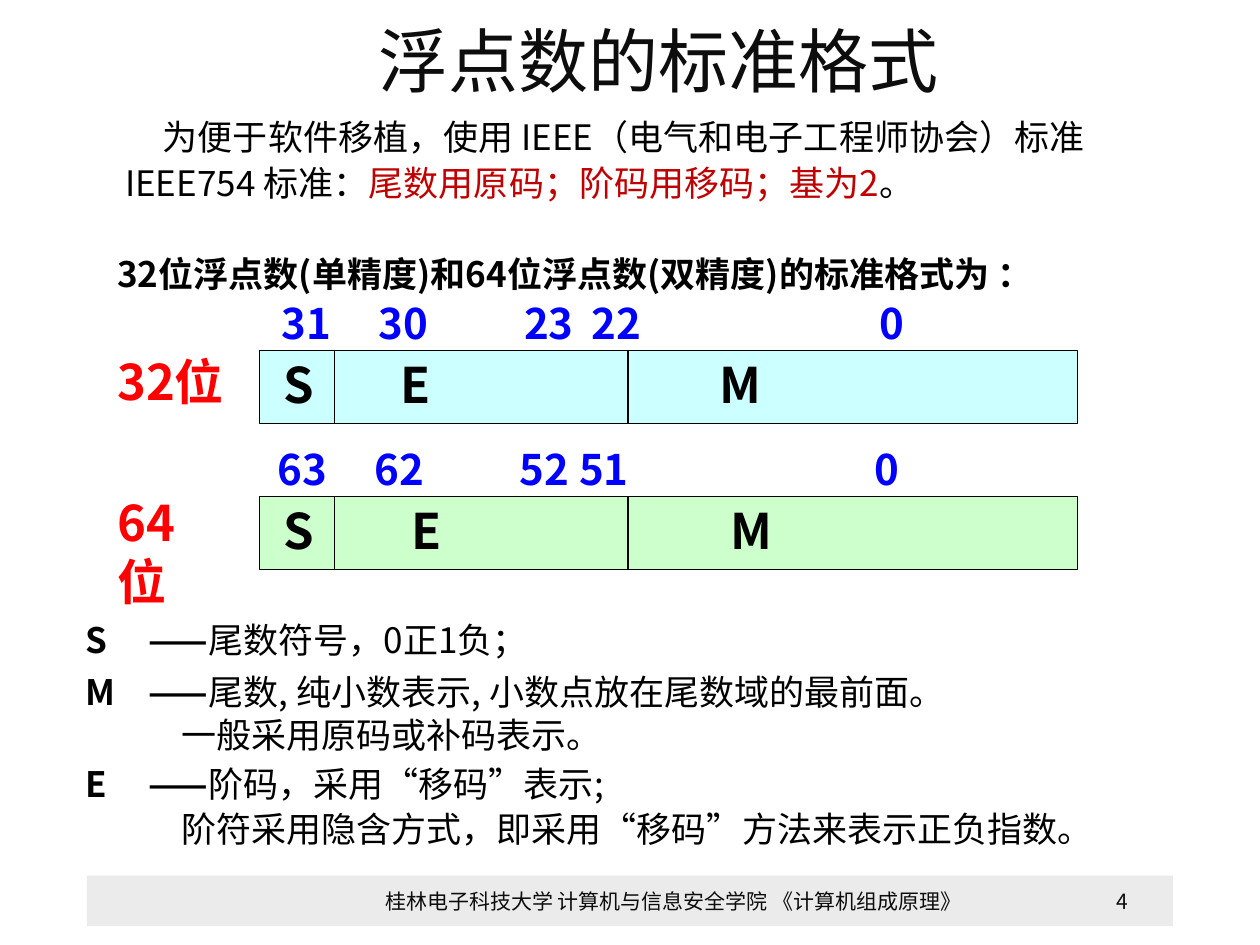
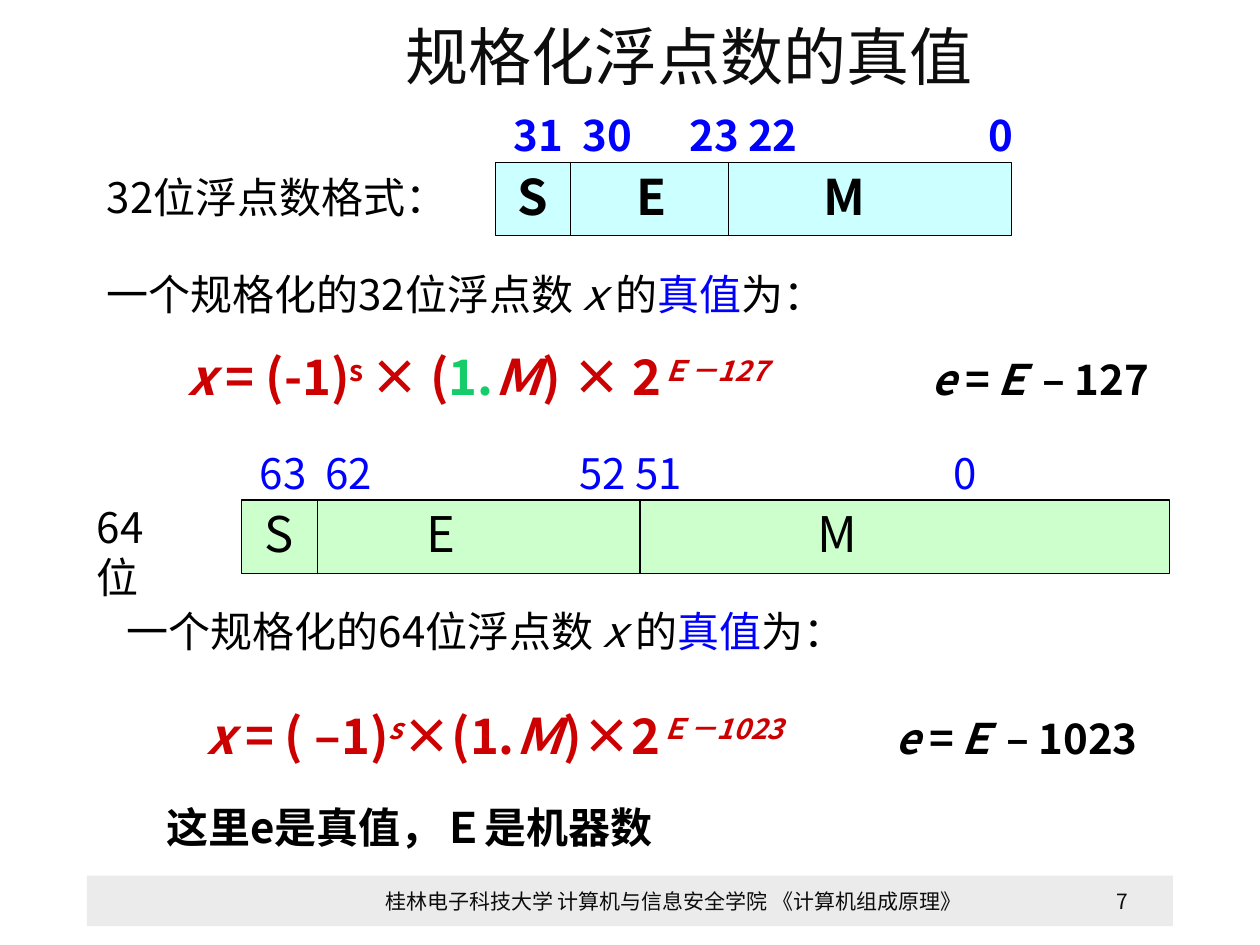
"""Build two slides on the standard floating-point format and its true value."""
from lxml import etree
from pptx import Presentation
from pptx.dml.color import RGBColor
from pptx.enum import shapes, text as t
from pptx.oxml import ns
from pptx.util import Pt

COLORS = {"ink": "0D0D0D", "black": "000000", "blue": "0000FF", "red": "FF0000",
          "dark_red": "C00000", "formula": "CC0000", "green": "14CD68",
          "band": "EBEBEB", "single": "CCFFFF", "double": "CCFFCC"}
FONT = "Noto Sans CJK SC"
FOOTER = "桂林电子科技大学 计算机与信息安全学院 《计算机组成原理》"
REGISTER_HEIGHT = 41.8
BOLD, ITALIC = {"bold": True}, {"italic": True}
BOLD_ITALIC = {"bold": True, "italic": True}
POWER = {"raised": True, "bold": True, "italic": True}
BLACK = {"color": "black", "size": 24, "bold": True}
BLACK_ITALIC = {**BLACK, "italic": True}


def true_value(bits):
    return [[f"一个规格化的{bits}位浮点数", ("ｘ", ITALIC), "的",
             ("真值", {"color": "blue"}), "为："]]


def exponent(bias):
    return [("\te ", BLACK_ITALIC), ("=", BLACK), ("Ｅ ", BLACK_ITALIC), (f"– {bias}", BLACK)]


FORMULA_32 = [[("x", BOLD_ITALIC), (" = (-1)", BOLD), ("s ", {"raised": True, "bold": True}),
               ("× (", BOLD), ("1.", {"color": "green", "bold": True}), ("Ｍ", BOLD_ITALIC),
               (") × 2", BOLD), ("Ｅ－127", POWER), *exponent(127)]]
FORMULA_64 = [[("x ", BOLD_ITALIC), ("= ( –1)", BOLD), ("s", POWER), ("×(1.", BOLD),
               ("Ｍ", BOLD_ITALIC), (")×2", BOLD), ("Ｅ－1023", POWER), *exponent(1023)]]
INTRO = [["为便于软件移植，使用 IEEE（电气和电子工程师协会）标准"],
         ["IEEE754 标准：", ("尾数用原码；阶码用移码；基为2", {"color": "dark_red"}), "。"]]
LEGEND = [[("S\t——", BOLD), "尾数符号，0正1负；"],
          [("M\t——", BOLD), "尾数, 纯小数表示, 小数点放在尾数域的最前面。"],
          ["一般采用原码或补码表示。"],
          [("E\t——", BOLD), "阶码，采用“移码”表示;"],
          ["阶符采用隐含方式，即采用“移码”方法来表示正负指数。"]]

SLIDES = [
    {"page": "4",
     "labels": [
         (216.5, 37, 400, [["浮点数的标准格式"]], {"size": 40, "color": "ink"}),
         (71.5, 91.5, 600, INTRO, {"size": 20, "spacing": 26, "indents": [(0, 21.6), (0, 0)]}),
         (67, 157.7, 640, [["32位浮点数(单精度)和64位浮点数(双精度)的标准格式为 ："]],
          {"size": 20, "bold": True}),
         (67, 219.5, 80, [["32位"]], {"size": 28, "bold": True, "color": "red"}),
         (67, 317, 48, [["64位"]], {"size": 28, "bold": True, "color": "red", "spacing": 33.6}),
         (49, 421, 620, LEGEND,
          {"size": 20, "spacing": 24, "tabs": [22], "before": [0, 5.7, 0.6, 4, 1.7],
           "indents": [(0, 0), (0, 0), (54.5, 0), (0, 0), (54.5, 0)]})],
     "registers": [
         {"left": 148.3, "top": 200.2, "width": 467.3, "fill": "single", "bold": True,
          "dividers": [191.2, 358.9], "fields": [162, 229, 411],
          "bits": {"31": 161, "30": 216.5, "23": 299.5, "22": 338, "0": 502.5}},
         {"left": 148.3, "top": 283.7, "width": 467.3, "fill": "double", "bold": True,
          "dividers": [191.2, 358.9], "fields": [162, 235, 417.5],
          "bits": {"63": 158.5, "62": 214, "52": 297, "51": 331, "0": 500}}]},
    {"page": "7",
     "labels": [
         (231.5, 34.3, 364, [["规格化浮点数的真值"]], {"size": 36, "color": "ink"}),
         (61, 114.3, 203, [["32位浮点数格式："]], {"size": 24}),
         (61, 169.7, 440, true_value(32), {"size": 24}),
         (107, 217, 605, FORMULA_32, {"size": 28, "color": "formula", "tabs": [425.5]}),
         (55.4, 317, 40, [["64位"]], {"size": 24, "spacing": 28.8}),
         (72.5, 362, 440, true_value(64), {"size": 24}),
         (118, 421.7, 590, FORMULA_64, {"size": 28, "color": "formula", "tabs": [394]}),
         (95, 474.3, 357, [["这里e是真值，Ｅ是机器数"]], {"size": 24, "bold": True})],
     "registers": [
         {"left": 283, "top": 92.9, "width": 295.2, "fill": "single", "bold": True,
          "dividers": [326.2, 416.2], "fields": [296, 364, 470.5],
          "bits": {"31": 293.5, "30": 333, "23": 394, "22": 427.5, "0": 565}},
         {"left": 138.2, "top": 285.8, "width": 530, "fill": "double", "bold": False,
          "dividers": [181.4, 365.8], "fields": [151, 243.5, 467],
          "bits": {"63": 148.5, "62": 186, "52": 331, "51": 363, "0": 545}}]},
]


def rgb(name):
    return RGBColor.from_string(COLORS[name])


def add_run(paragraph, content, size, color="black", bold=False, italic=False, raised=False):
    run = paragraph.add_run()
    run.text = content
    font = run.font
    font.size, font.bold, font.italic, font.name = Pt(size), bold, italic, FONT
    font.color.rgb = rgb(color)
    properties = run._r.get_or_add_rPr()
    etree.SubElement(properties, ns.qn("a:ea")).set("typeface", FONT)
    if raised:
        properties.set("baseline", "30000")


def write(shape, paragraphs, tabs=(), indents=(), before=(), spacing=None,
          align=t.PP_ALIGN.LEFT, inset=0, lift=0, **style):
    frame = shape.text_frame
    frame.word_wrap = True
    frame.vertical_anchor = t.MSO_ANCHOR.MIDDLE
    frame.margin_left, frame.margin_bottom = Pt(inset), Pt(lift)
    frame.margin_right = frame.margin_top = 0
    for index, runs in enumerate(paragraphs):
        paragraph = frame.add_paragraph() if index else frame.paragraphs[0]
        paragraph.alignment = align
        properties = paragraph._p.get_or_add_pPr()
        if tabs:
            stops = etree.SubElement(properties, ns.qn("a:tabLst"))
            for position in tabs:
                etree.SubElement(stops, ns.qn("a:tab"), pos=str(Pt(position)), algn="l")
        if indents:
            margin, first = indents[index]
            properties.set("marL", str(Pt(margin)))
            properties.set("indent", str(Pt(first)))
        if spacing:
            paragraph.line_spacing = Pt(spacing)
        if before and index:
            paragraph.space_before = Pt(before[index])
        for run in runs:
            content, extra = (run, {}) if isinstance(run, str) else run
            add_run(paragraph, content, **{**style, **extra})


def add_label(slide, left, middle, width, paragraphs, size, **style):
    height = 1.2 * size * len(paragraphs)
    box = slide.shapes.add_textbox(Pt(left), Pt(middle - 0.07 * size - height / 2),
                                   Pt(width), Pt(height))
    write(box, paragraphs, size=size, **style)


def add_rectangle(slide, left, top, width, height, fill):
    shape = slide.shapes.add_shape(shapes.MSO_SHAPE.RECTANGLE,
                                   Pt(left), Pt(top), Pt(width), Pt(height))
    shape.shadow.inherit = False
    shape.fill.solid()
    shape.fill.fore_color.rgb = rgb(fill)
    shape.line.fill.background()
    return shape


def tabbed(words, positions):
    start = positions[0]
    return [["\t".join(words)]], [position - start for position in positions[1:]]


def add_register(slide, left, top, width, fill, bold, dividers, fields, bits):
    register = add_rectangle(slide, left, top, width, REGISTER_HEIGHT, fill)
    register.line.color.rgb = rgb("black")
    register.line.width = Pt(0.75)
    content, tabs = tabbed("SEM", fields)
    write(register, content, tabs=tabs, inset=fields[0] - left, lift=4, size=28, bold=bold)
    for x in dividers:
        line = slide.shapes.add_connector(shapes.MSO_CONNECTOR.STRAIGHT, Pt(x), Pt(top),
                                          Pt(x), Pt(top + REGISTER_HEIGHT))
        line.line.color.rgb = rgb("black")
        line.line.width = Pt(0.75)
        etree.SubElement(line._element.spPr, ns.qn("a:effectLst"))
    positions = list(bits.values())
    content, tabs = tabbed(bits, positions)
    add_label(slide, positions[0], top - 14, positions[-1] - positions[0] + 40, content,
              size=24, tabs=tabs, color="blue", bold=bold)


def add_footer(slide, page):
    add_rectangle(slide, 49.7, 500.4, 620.6, 28.8, "band")
    for left, width, content in ((207.4, 355, FOOTER), (612, 58.3, page)):
        add_label(slide, left, 515.6, width, [[content]], size=12, color="ink",
                  align=t.PP_ALIGN.CENTER)


def main():
    presentation = Presentation()
    presentation.slide_width, presentation.slide_height = Pt(720), Pt(540)
    for content in SLIDES:
        slide = presentation.slides.add_slide(presentation.slide_layouts[6])
        add_footer(slide, content["page"])
        for register in content["registers"]:
            add_register(slide, **register)
        for left, middle, width, paragraphs, style in content["labels"]:
            add_label(slide, left, middle, width, paragraphs, **style)
    presentation.save("out.pptx")


if __name__ == "__main__":
    main()
